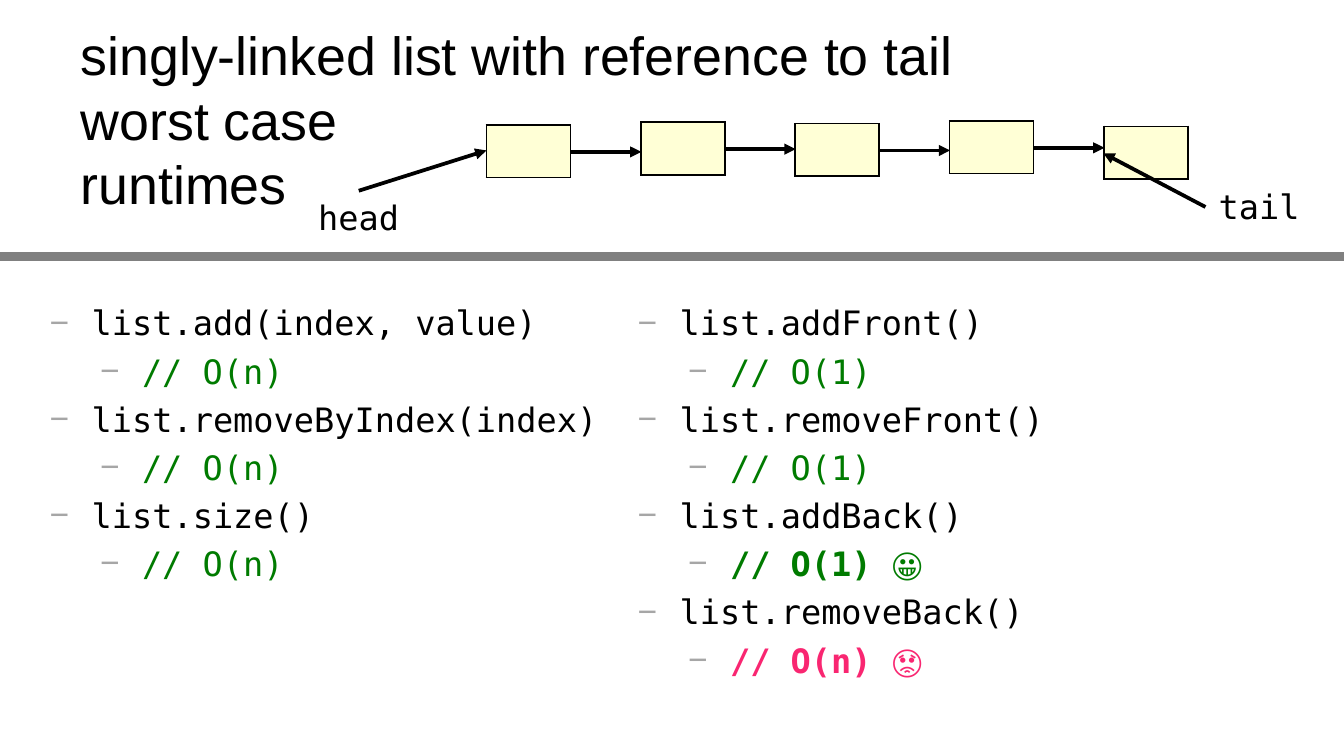
"""Build the slide on worst case runtimes of a singly-linked list with a tail."""
from dataclasses import dataclass

import lxml.etree
import pptx
import pptx.dml.color
import pptx.enum.shapes
import pptx.enum.text
import pptx.oxml
import pptx.oxml.ns
import pptx.util

Pt = pptx.util.Pt
BLACK, GREEN, PINK = "000000", "007B00", "F92671"
CREAM, GRAY, LIGHT_GRAY = "FFFFD6", "808080", "A6A6A6"
SANS, MONO = "Arial", "DejaVu Sans Mono"
NODE_WIDTH, NODE_HEIGHT, NODE_PITCH = 45, 28.2, 82.7
FIRST_NODE_LEFT = 260.6
NODE_TOPS = (67, 65.5, 66.2, 64.8, 67.7)


@dataclass(frozen=True)
class Box:
    left: float
    top: float
    width: float
    height: float


@dataclass(frozen=True)
class Arrow:
    start: tuple[float, float]
    end: tuple[float, float]
    color: str = BLACK
    weight: float = 2
    head: str = "none"
    tail: str = "triangle"


@dataclass(frozen=True)
class Operation:
    call: str
    cost: str
    color: str = GREEN
    bold: bool = False


TITLE_BOX = Box(36, 11.8, 648, 104)
TITLE_LINES = ("singly-linked list with reference to tail", "worst case", "runtimes")
HEAD_ARROW = Arrow((192.2, 102.2), (260.6, 80.6))
TAIL_ARROW = Arrow((645.8, 110.9), (591.1, 82.1))
DIVIDER = Arrow((720, 137.5), (0, 137.5), GRAY, 4.5, tail="none")
LABELS = {"head": Box(163.4, 102.2, 87, 28.8), "tail": Box(645.8, 96, 63.4, 28.8)}
LISTS = (
    (Box(19.4, 158.4, 315.4, 228.2), (
        Operation("list.add(index, value)", "// O(n)"),
        Operation("list.removeByIndex(index)", "// O(n)"),
        Operation("list.size()", "// O(n)"),
    )),
    (Box(334.4, 158.4, 385.6, 228.2), (
        Operation("list.addFront()", "// O(1)"),
        Operation("list.removeFront()", "// O(1)"),
        Operation("list.addBack()", "// O(1) 😀", bold=True),
        Operation("list.removeBack()", "// O(n) 😡", PINK, True),
    )),
)


def rgb(color: str) -> pptx.dml.color.RGBColor:
    return pptx.dml.color.RGBColor.from_string(color)


def add_xml(parent, tag: str, **attributes: str):
    element = lxml.etree.SubElement(parent, pptx.oxml.ns.qn(tag))
    for name, value in attributes.items():
        element.set(name, value)
    return element


def place(shape, box: Box) -> None:
    shape.left, shape.top = Pt(box.left), Pt(box.top)
    shape.width, shape.height = Pt(box.width), Pt(box.height)


def set_font(paragraph, name: str, size: float, color: str, bold: bool = False) -> None:
    font = paragraph.font
    font.name, font.size, font.bold = name, Pt(size), bold
    font.color.rgb = rgb(color)


def fill_title(title) -> None:
    place(title, TITLE_BOX)
    frame = title.text_frame
    frame.auto_size = pptx.enum.text.MSO_AUTO_SIZE.NONE
    frame.vertical_anchor = pptx.enum.text.MSO_ANCHOR.TOP
    frame.margin_top = frame.margin_bottom = 0
    paragraph = frame.paragraphs[0]
    paragraph.text = "\v".join(TITLE_LINES)
    paragraph.alignment = pptx.enum.text.PP_ALIGN.LEFT
    paragraph.line_spacing = Pt(34.5)
    set_font(paragraph, SANS, 28.8, BLACK)


def add_arrow(slide, arrow: Arrow) -> None:
    connector = slide.shapes.add_connector(
        pptx.enum.shapes.MSO_CONNECTOR.STRAIGHT,
        *(Pt(value) for value in arrow.start + arrow.end))
    connector.line.color.rgb = rgb(arrow.color)
    connector.line.width = Pt(arrow.weight)
    line = connector.line._get_or_add_ln()
    add_xml(line, "a:headEnd", type=arrow.head)
    add_xml(line, "a:tailEnd", type=arrow.tail)
    add_xml(connector._element.spPr, "a:effectLst")


def add_node(slide, left: float, top: float) -> None:
    table = slide.shapes.add_table(
        1, 1, Pt(left), Pt(top), Pt(NODE_WIDTH), Pt(NODE_HEIGHT)).table
    table.first_row = table.horz_banding = False
    cell = table.cell(0, 0)
    cell.margin_top = cell.margin_bottom = 0
    properties = cell._tc.get_or_add_tcPr()
    for side in ("a:lnL", "a:lnR", "a:lnT", "a:lnB"):
        border = add_xml(properties, side, w=str(Pt(1)))
        add_xml(add_xml(border, "a:solidFill"), "a:srgbClr", val=BLACK)
    cell.fill.solid()
    cell.fill.fore_color.rgb = rgb(CREAM)


def add_label(slide, text: str, box: Box) -> None:
    label = slide.shapes.add_textbox(0, 0, 0, 0)
    place(label, box)
    label.text_frame.word_wrap = True
    paragraph = label.text_frame.paragraphs[0]
    paragraph.text = text
    set_font(paragraph, MONO, 18, BLACK)


def fill_list(body, box: Box, operations: tuple[Operation, ...]) -> None:
    place(body, box)
    frame = body.text_frame
    frame.auto_size = pptx.enum.text.MSO_AUTO_SIZE.NONE
    items = []
    for operation in operations:
        items.append((operation.call, 0, BLACK, False))
        items.append((operation.cost, 1, operation.color, operation.bold))
    for index, (text, level, color, bold) in enumerate(items):
        paragraph = frame.add_paragraph() if index else frame.paragraphs[0]
        paragraph.text = text
        paragraph.level = level
        paragraph.space_before = Pt(4.2 if index else 0)
        properties = paragraph._p.get_or_add_pPr()
        properties.set("marL", str(Pt(22.5 + 27 * level)))
        properties.set("indent", str(Pt(-22.5)))
        add_xml(add_xml(properties, "a:buClr"), "a:srgbClr", val=LIGHT_GRAY)
        add_xml(properties, "a:buChar", char="−")
        set_font(paragraph, MONO, 18, color, bold)


def main() -> None:
    deck = pptx.Presentation()
    deck.slide_width, deck.slide_height = Pt(720), Pt(405)
    slide = deck.slides.add_slide(deck.slide_layouts.get_by_name("Two Content"))
    title, *bodies = slide.placeholders
    fill_title(title)
    lefts = [FIRST_NODE_LEFT + NODE_PITCH * index for index in range(len(NODE_TOPS))]
    nodes = list(zip(lefts, NODE_TOPS))
    for left, top in nodes[:-1]:
        middle = top + 14.4
        add_arrow(slide, Arrow((left + 39, middle), (left + 83, middle), head="oval"))
    for left, top in nodes:
        add_node(slide, left, top)
    for arrow in (HEAD_ARROW, TAIL_ARROW, DIVIDER):
        add_arrow(slide, arrow)
    for text, box in LABELS.items():
        add_label(slide, text, box)
    for body, (box, operations) in zip(bodies, LISTS):
        fill_list(body, box, operations)
    deck.save("out.pptx")


if __name__ == "__main__":
    main()
